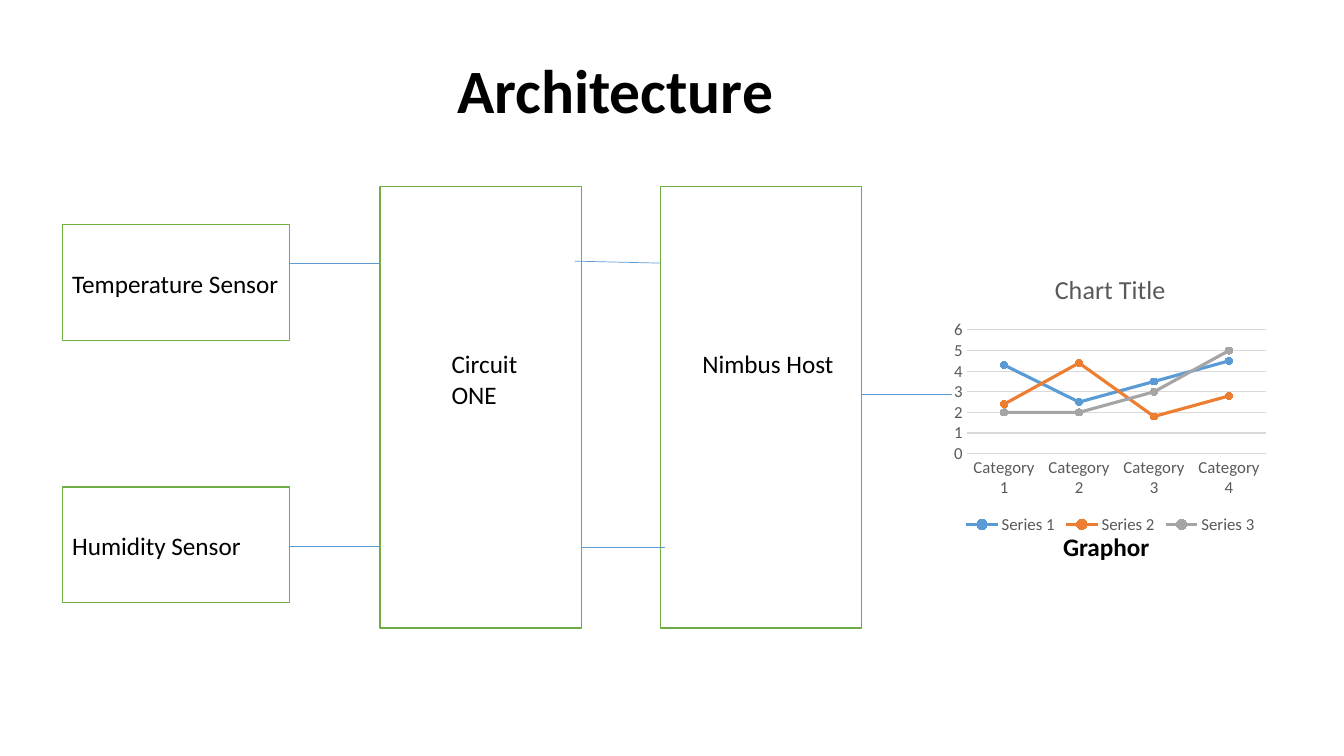
from collections import namedtuple

from lxml import etree
from pptx import Presentation
from pptx.chart.data import CategoryChartData
from pptx.dml.color import RGBColor
from pptx.enum.chart import XL_CHART_TYPE, XL_LEGEND_POSITION, XL_MARKER_STYLE, XL_TICK_MARK
from pptx.enum.shapes import MSO_CONNECTOR, MSO_SHAPE
from pptx.enum.text import MSO_ANCHOR, MSO_AUTO_SIZE, PP_ALIGN
from pptx.oxml.ns import qn
from pptx.util import Cm, Pt

LINE_MARKERS = XL_CHART_TYPE.LINE_MARKERS
LEGEND_BOTTOM = XL_LEGEND_POSITION.BOTTOM
CIRCLE = XL_MARKER_STYLE.CIRCLE
NO_TICK = XL_TICK_MARK.NONE
STRAIGHT = MSO_CONNECTOR.STRAIGHT
RECTANGLE = MSO_SHAPE.RECTANGLE
TOP, MIDDLE = MSO_ANCHOR.TOP, MSO_ANCHOR.MIDDLE
GROW, FIXED = MSO_AUTO_SIZE.SHAPE_TO_FIT_TEXT, MSO_AUTO_SIZE.NONE
LEFT, CENTER = PP_ALIGN.LEFT, PP_ALIGN.CENTER

FONT = "Calibri"
COLORS = {
    "text": "000000",
    "paper": "FFFFFF",
    "outline": "70AD47",
    "link": "5B9BD5",
    "muted": "595959",
    "grid": "D9D9D9",
    "Series 1": "5B9BD5",
    "Series 2": "ED7D31",
    "Series 3": "A5A5A5",
}

CATEGORIES = [f"Category {number}" for number in range(1, 5)]
SERIES = {
    "Series 1": (4.3, 2.5, 3.5, 4.5),
    "Series 2": (2.4, 4.4, 1.8, 2.8),
    "Series 3": (2, 2, 3, 5),
}

Box = namedtuple("Box", "left top width height")

TITLE = Box(2.03, 0.51, 29.21, 3.68)
TEMPERATURE = Box(1.57, 5.66, 5.72, 2.92)
HUMIDITY = TEMPERATURE._replace(top=12.27)
BOARD = Box(9.58, 4.7, 5.08, 11.13)
CLOUD = BOARD._replace(left=16.64)
DASHBOARD = Box(23.88, 6.43, 8.2, 7.14)

SENSOR_LABEL = Box(0, 0.97, 5.72, 1.02)
BOARD_LABEL = Box(1.55, 3.96, 4.37, 1.8)
CLOUD_LABEL = Box(0.81, 3.96, 4.98, 1.02)
CAPTION = Box(2.66, 6.83, 3.33, 1.02)


def color(name):
    return RGBColor.from_string(COLORS[name])


def to_cm(box):
    return [Cm(length) for length in box]


def inside(outer, inner):
    return inner._replace(left=outer.left + inner.left, top=outer.top + inner.top)


def style_line(line, name, width):
    line.color.rgb = color(name)
    line.width = Pt(width)


def style_font(font, size, name="text", bold=False):
    font.name = FONT
    font.size = Pt(size)
    font.bold = bold
    font.color.rgb = color(name)


def add_text(page, box, text, size=18, bold=False, align=LEFT, anchor=TOP,
             fit=GROW, spacing=1.0, right_inset=0.25):
    frame = page.shapes.add_textbox(*to_cm(box)).text_frame
    frame.word_wrap = True
    frame.auto_size = fit
    frame.vertical_anchor = anchor
    frame.margin_right = Cm(right_inset)
    frame.text = text
    for para in frame.paragraphs:
        para.alignment = align
        para.line_spacing = spacing
        for span in para.runs:
            style_font(span.font, size, bold=bold)


def add_title(page, box):
    add_text(page, box, "Architecture", size=44, bold=True, align=CENTER,
             anchor=MIDDLE, fit=FIXED, spacing=0.9, right_inset=2.5)


def add_node(page, box, text, label):
    node = page.shapes.add_shape(RECTANGLE, *to_cm(box))
    node.shadow.inherit = False
    node.fill.solid()
    node.fill.fore_color.rgb = color("paper")
    style_line(node.line, "outline", 1)
    add_text(page, inside(box, label), text)


def add_link(page, start, end):
    link = page.shapes.add_connector(STRAIGHT, *to_cm(start + end))
    style_line(link.line, "link", 0.5)
    etree.SubElement(link._element.spPr, qn("a:effectLst"))


def add_dashboard(page, box):
    add_text(page, inside(box, CAPTION), "Graphor", bold=True)
    data = CategoryChartData()
    data.categories = CATEGORIES
    for name, values in SERIES.items():
        data.add_series(name, values)
    chart = page.shapes.add_chart(LINE_MARKERS, *to_cm(box), data).chart
    style_font(chart.font, 10)

    chart.has_title = True
    title = chart.chart_title.text_frame
    title.text = "Chart Title"
    style_font(title.paragraphs[0].runs[0].font, 18.6, "muted")

    chart.has_legend = True
    chart.legend.position = LEGEND_BOTTOM
    chart.legend.include_in_layout = False
    style_font(chart.legend.font, 12, "muted")

    for axis in (chart.category_axis, chart.value_axis):
        axis.major_tick_mark = axis.minor_tick_mark = NO_TICK
        style_font(axis.tick_labels.font, 12, "muted")
    style_line(chart.category_axis.format.line, "grid", 0.75)
    chart.value_axis.format.line.fill.background()
    chart.value_axis.minimum_scale = 0
    chart.value_axis.maximum_scale = 6
    chart.value_axis.major_unit = 1
    style_line(chart.value_axis.major_gridlines.format.line, "grid", 0.75)

    plot = chart.plots[0]
    plot.vary_by_categories = False
    for series in plot.series:
        series.smooth = False
        style_line(series.format.line, series.name, 2.25)
        marker = series.marker
        marker.style = CIRCLE
        marker.size = 5
        marker.format.fill.solid()
        marker.format.fill.fore_color.rgb = color(series.name)
        style_line(marker.format.line, series.name, 0.75)


def add_architecture(page):
    add_title(page, TITLE)
    add_node(page, TEMPERATURE, "Temperature Sensor", SENSOR_LABEL)
    add_node(page, HUMIDITY, "Humidity Sensor", SENSOR_LABEL)
    add_node(page, BOARD, "Circuit\nONE", BOARD_LABEL)
    add_node(page, CLOUD, "Nimbus Host", CLOUD_LABEL)
    add_dashboard(page, DASHBOARD)

    sensor_right = TEMPERATURE.left + TEMPERATURE.width
    board_right = BOARD.left + BOARD.width
    cloud_right = CLOUD.left + CLOUD.width
    for level in (6.63, 13.77):
        add_link(page, (sensor_right, level), (BOARD.left, level))
    add_link(page, (board_right - 0.18, 6.58), (CLOUD.left, 6.63))
    add_link(page, (board_right, 13.79), (CLOUD.left + 0.12, 13.79))
    add_link(page, (cloud_right, 9.93), (DASHBOARD.left + 0.12, 9.93))


deck = Presentation()
deck.slide_width, deck.slide_height = Cm(33.87), Cm(19.05)
add_architecture(deck.slides.add_slide(deck.slide_layouts[6]))
deck.save("out.pptx")
